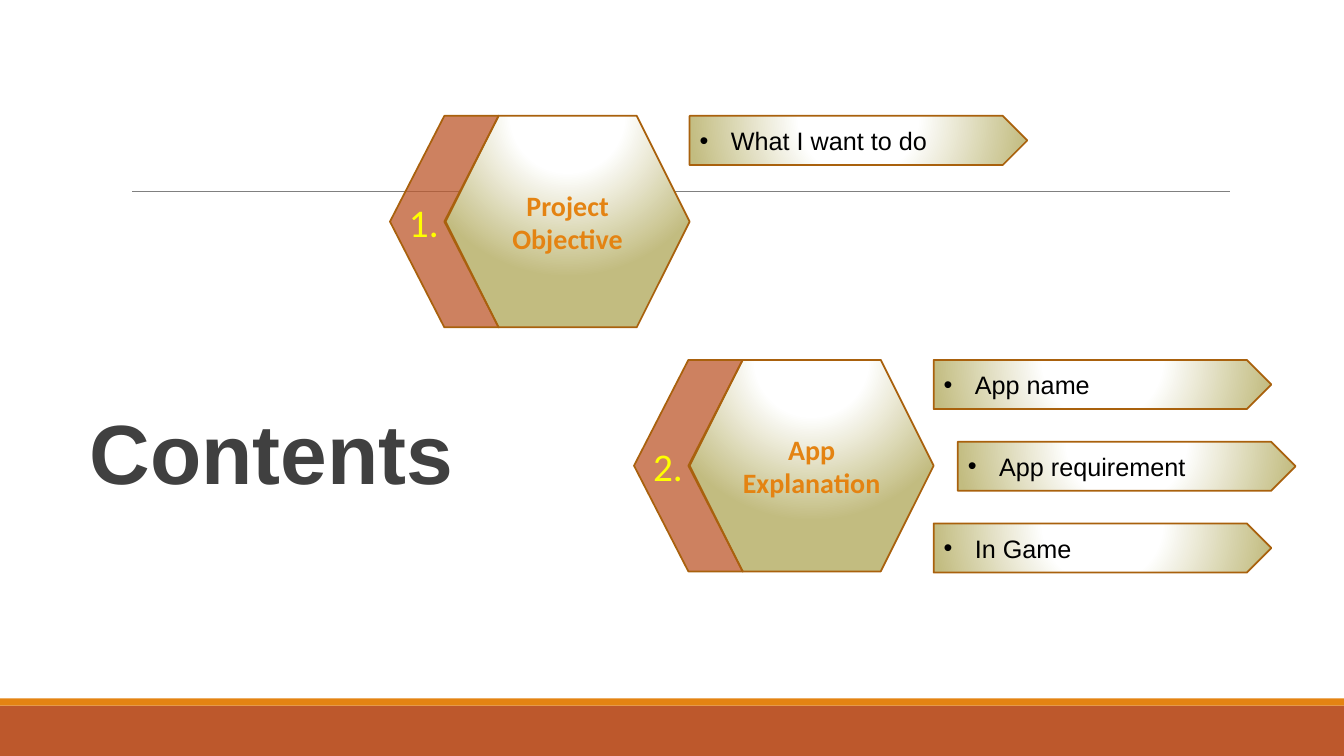
from lxml.etree import SubElement
from pptx import Presentation
from pptx.dml.color import RGBColor
from pptx.enum.shapes import MSO_CONNECTOR, MSO_SHAPE as SHAPE
from pptx.enum.text import MSO_ANCHOR as ANCHOR, PP_ALIGN as ALIGN
from pptx.oxml import parse_xml
from pptx.oxml.ns import nsdecls, qn
from pptx.util import Cm, Pt

COLORS = {
    "white": "FFFFFF", "olive": "C2BC80", "rust": "BD582C", "orange": "E48312",
    "brown": "A9610D", "grey": "808080", "dark": "404040", "yellow": "FFFF00",
    "black": "000000",
}
TOPICS = [
    ("1.", ["Project Objective"], ["What I want to do"]),
    ("2.", ["App", "Explanation"], ["App name", "App requirement", "In Game"]),
]
SLIDE_W, SLIDE_H = 33.87, 19.05
TOPIC_X, TOPIC_Y = 9.83, 2.92
HEX_W, HEX_H = 6.15, 5.33


def rgb(name):
    """Return the named colour."""
    return RGBColor.from_string(COLORS[name])


def add_run(p, text, size, font, color, bold=False):
    """Add a formatted run to a paragraph."""
    r = p.add_run()
    r.text = text
    r.font.size, r.font.name, r.font.bold = Pt(size), font, bold
    r.font.color.rgb = rgb(color)


def add_box(slide, kind, x, y, w, h, fill=None, outline=True):
    """Add a preset shape with a flat fill, or the olive glow if none is given."""
    sp = slide.shapes.add_shape(kind, Cm(x), Cm(y), Cm(w), Cm(h))
    sp.shadow.inherit = False
    if fill:
        sp.fill.solid()
        sp.fill.fore_color.rgb = rgb(fill)
    else:
        add_glow(sp)
    if outline:
        sp.line.color.rgb = rgb("brown")
        sp.line.width = Pt(1.25)
    else:
        sp.line.fill.background()
    sp.text_frame.word_wrap = True
    sp.text_frame.vertical_anchor = ANCHOR.MIDDLE
    return sp


def add_glow(sp):
    """Fill a shape with a white to olive radial gradient centred above it."""
    stops = "".join(
        f'<a:gs pos="{pos * 1000}"><a:srgbClr val="{COLORS[name]}"/></a:gs>'
        for pos, name in [(0, "white"), (35, "white"), (100, "olive")])
    grad = parse_xml(
        f'<a:gradFill {nsdecls("a")} rotWithShape="1"><a:gsLst>{stops}</a:gsLst>'
        '<a:path path="circle"><a:fillToRect l="50000" t="-80000" r="50000" '
        'b="180000"/></a:path></a:gradFill>')
    sp._element.spPr.find(qn("a:prstGeom")).addnext(grad)


def add_backdrop(slide, w, h):
    """Draw the footer bands and the thin rule."""
    add_box(slide, SHAPE.RECTANGLE, 0, h - 1.27, w, 1.27, "rust", False)
    add_box(slide, SHAPE.RECTANGLE, 0, h - 1.45, w, 0.18, "orange", False)
    rule = slide.shapes.add_connector(
        MSO_CONNECTOR.STRAIGHT, Cm(3.33), Cm(4.82), Cm(31), Cm(4.82))
    rule.line.color.rgb = rgb("grey")
    rule.line.width = Pt(0.5)
    SubElement(rule._element.spPr, qn("a:effectLst"))


def add_title(slide, x, y, w, h):
    """Write the slide title in its box."""
    tf = slide.shapes.add_textbox(Cm(x), Cm(y), Cm(w), Cm(h)).text_frame
    tf.word_wrap = True
    add_run(tf.paragraphs[0], "Contents", 60, "Arial", "dark", True)


def add_hexagon(slide, x, y, w, h, lines):
    """Draw the hexagon with the topic name."""
    tf = add_box(slide, SHAPE.HEXAGON, x, y, w, h).text_frame
    for i, line in enumerate(lines):
        p = tf.add_paragraph() if i else tf.paragraphs[0]
        p.alignment = ALIGN.CENTER
        add_run(p, line, 20, "Calibri", "orange", True)


def add_number(slide, x, y, w, h, number):
    """Draw the see-through, left-pointing chevron with the topic number."""
    sp = add_box(slide, SHAPE.CHEVRON, x, y, w, h, "rust")
    spPr = sp._element.spPr
    spPr.find(qn("a:xfrm")).set("flipH", "1")
    color = spPr.find(qn("a:solidFill")).find(qn("a:srgbClr"))
    SubElement(color, qn("a:alpha")).set("val", "75000")
    tf = sp.text_frame
    tf.margin_left = Cm(0.48)
    p = tf.paragraphs[0]
    p.alignment = ALIGN.LEFT
    add_run(p, number, 28, "Calibri", "yellow")


def add_item(slide, x, y, w, h, label):
    """Draw one bulleted arrow tag."""
    sp = add_box(slide, SHAPE.PENTAGON, x, y, w, h)
    p = sp.text_frame.paragraphs[0]
    p.alignment = ALIGN.LEFT
    pPr = p._p.get_or_add_pPr()
    pPr.set("marL", str(Cm(0.79)))
    pPr.set("indent", str(-Cm(0.79)))
    SubElement(pPr, qn("a:buFont")).set("typeface", "Arial")
    SubElement(pPr, qn("a:buChar")).set("char", "•")
    add_run(p, label, 18, "Arial", "black")


def add_topic(slide, x, y, number, lines, items):
    """Draw a topic with its number and its zigzag of items."""
    hex_x = x + 1.4
    add_hexagon(slide, hex_x, y, HEX_W, HEX_H, lines)
    add_number(slide, x, y, 2.74, HEX_H, number)
    for i, label in enumerate(items):
        add_item(slide, hex_x + HEX_W + i % 2 * 0.61, y + i * 2.06, 8.51, 1.24, label)


def main():
    """Build and save the slide."""
    prs = Presentation()
    prs.slide_width, prs.slide_height = Cm(SLIDE_W), Cm(SLIDE_H)
    slide = prs.slides.add_slide(prs.slide_layouts[6])
    add_backdrop(slide, SLIDE_W, SLIDE_H)
    add_title(slide, 2.01, 9.96, 13.16, 2.82)
    for i, topic in enumerate(TOPICS):
        add_topic(slide, TOPIC_X + i * HEX_W, TOPIC_Y + i * HEX_W, *topic)
    prs.save("out.pptx")


if __name__ == "__main__":
    main()
